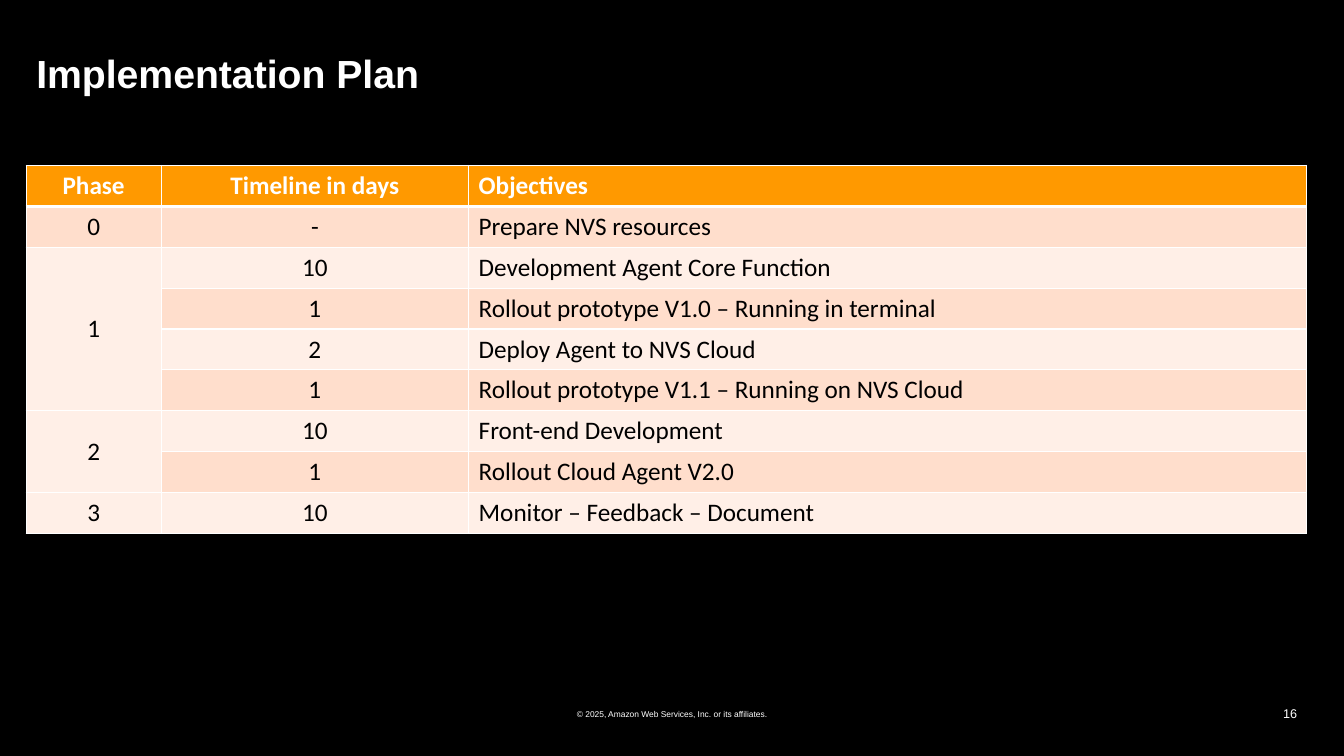
from dataclasses import dataclass

from lxml.etree import SubElement
from pptx import Presentation
from pptx.dml.color import RGBColor as Rgb
from pptx.enum.text import MSO_ANCHOR as Anchor, PP_ALIGN as Align
from pptx.oxml.ns import qn
from pptx.util import Cm, Pt


@dataclass(frozen=True)
class Theme:
    back: str = "000000"
    light: str = "FFFFFF"
    dark: str = "000000"
    head: str = "FF9900"
    bands: tuple = ("FFEFE7", "FFDECC")
    sans: str = "Arial"
    body: str = "Calibri"
    title: int = 28
    cell: int = 18
    number: int = 9
    legal: int = 6
    thin: int = 1
    thick: int = 3


THEME = Theme()

COLS = (3.4, 7.75, 21.11)
HEADS = ("Phase", "Timeline in days", "Objectives")
PLAN = {
    "0": [("-", "Prepare NVS resources")],
    "1": [
        ("10", "Development Agent Core Function"),
        ("1", "Rollout prototype V1.0 – Running in terminal"),
        ("2", "Deploy Agent to NVS Cloud"),
        ("1", "Rollout prototype V1.1 – Running on NVS Cloud"),
    ],
    "2": [("10", "Front-end Development"), ("1", "Rollout Cloud Agent V2.0")],
    "3": [("10", "Monitor – Feedback – Document")],
}


def write(frame, text, size, font=THEME.sans, color=THEME.light,
          bold=False, align=Align.LEFT, space=None):
    frame.word_wrap = True
    para = frame.paragraphs[0]
    para.alignment = align
    para.line_spacing = space
    run = para.add_run()
    run.text = text
    run.font.name = font
    run.font.size = Pt(size)
    run.font.bold = bold
    run.font.color.rgb = Rgb.from_string(color)


def add_title(slide, box, text):
    title = slide.shapes.title
    title.left, title.top, title.width, title.height = map(Cm, box)
    title.text_frame.vertical_anchor = Anchor.MIDDLE
    write(title.text_frame, text, THEME.title, bold=True, space=0.9)


def add_note(slide, box, text, size, align):
    frame = slide.shapes.add_textbox(*map(Cm, box)).text_frame
    frame.vertical_anchor = Anchor.MIDDLE
    write(frame, text, size, align=align)


def add_edges(cell, top, base):
    props = cell._tc.get_or_add_tcPr()
    widths = {"L": THEME.thin, "R": THEME.thin, "T": top, "B": base}
    for side, width in widths.items():
        line = SubElement(props, qn(f"a:ln{side}"), w=str(Pt(width)))
        fill = SubElement(line, qn("a:solidFill"))
        SubElement(fill, qn("a:srgbClr"), val=THEME.light)


def style_cell(cell, row, col):
    top = THEME.thick if row == 1 else THEME.thin
    base = THEME.thick if row == 0 else THEME.thin
    add_edges(cell, top, base)
    cell.fill.solid()
    tint = THEME.bands[row % 2] if row else THEME.head
    cell.fill.fore_color.rgb = Rgb.from_string(tint)
    cell.vertical_anchor = Anchor.MIDDLE if col < 2 else Anchor.TOP


def fill_cell(cell, text, row, col):
    write(cell.text_frame, text, THEME.cell, THEME.body,
          color=THEME.dark if row else THEME.light, bold=row == 0,
          align=Align.CENTER if col < 2 else Align.LEFT)


def add_plan(slide, box):
    count = 1 + sum(map(len, PLAN.values()))
    table = slide.shapes.add_table(count, len(COLS), *map(Cm, box)).table
    for column, width in zip(table.columns, COLS):
        column.width = Cm(width)
    for row in range(count):
        table.rows[row].height = Cm(box[3] / count)
        for col in range(len(COLS)):
            style_cell(table.cell(row, col), row, col)

    # Header row
    for col, text in enumerate(HEADS):
        fill_cell(table.cell(0, col), text, 0, col)

    # One block of rows for each phase
    row = 1
    for phase, steps in PLAN.items():
        first = table.cell(row, 0)
        if len(steps) > 1:
            first.merge(table.cell(row + len(steps) - 1, 0))
        fill_cell(first, phase, row, 0)
        for step in steps:
            for col, text in enumerate(step, 1):
                fill_cell(table.cell(row, col), text, row, col)
            row += 1


def main():
    deck = Presentation()
    deck.slide_width, deck.slide_height = Cm(33.87), Cm(19.05)
    slide = deck.slides.add_slide(deck.slide_layouts[5])
    slide.background.fill.solid()
    slide.background.fill.fore_color.rgb = Rgb.from_string(THEME.back)

    add_title(slide, (0.66, 1.02, 32.54, 1.78), "Implementation Plan")

    # Footer
    add_note(slide, (11.22, 17.48, 11.43, 1.02),
             "© 2025, Amazon Web Services, Inc. or its affiliates.",
             THEME.legal, Align.CENTER)
    add_note(slide, (25.32, 17.48, 7.62, 1.02), "16", THEME.number, Align.RIGHT)

    add_plan(slide, (0.66, 4.17, sum(COLS), 9.27))
    deck.save("out.pptx")


if __name__ == "__main__":
    main()
